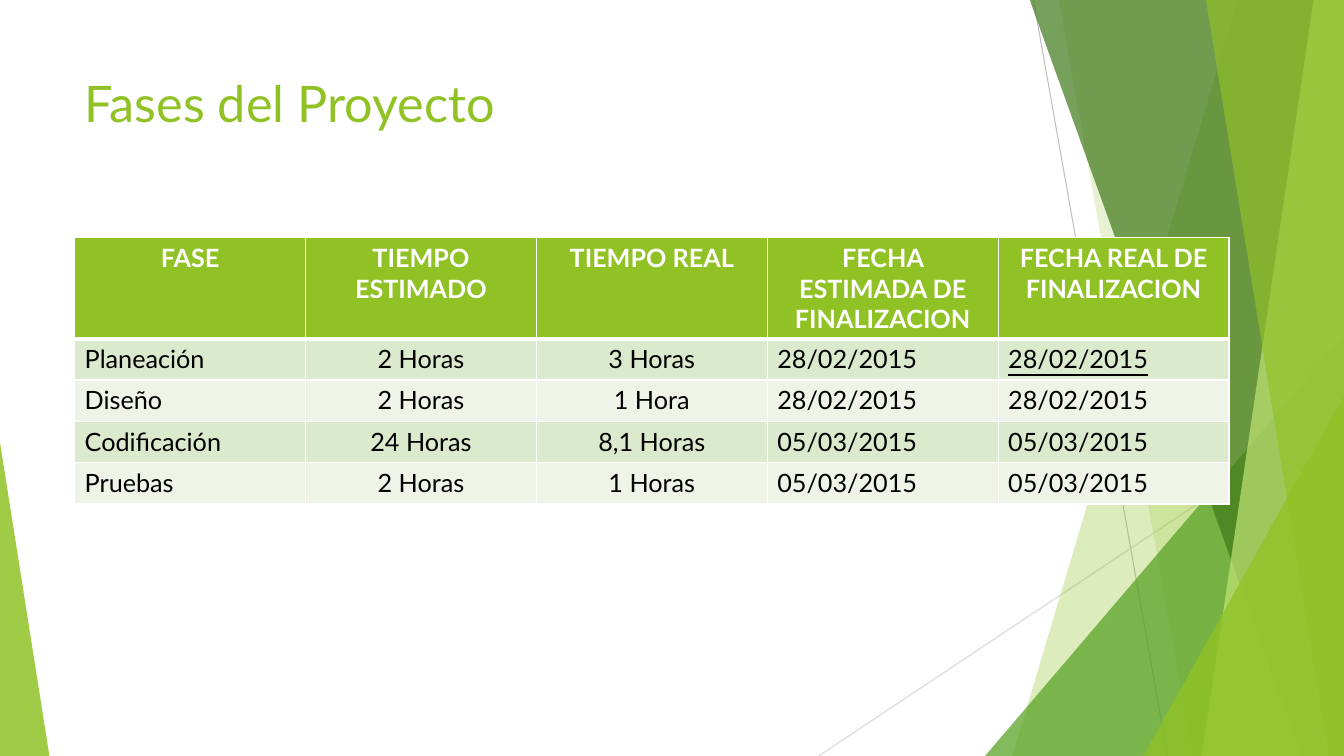
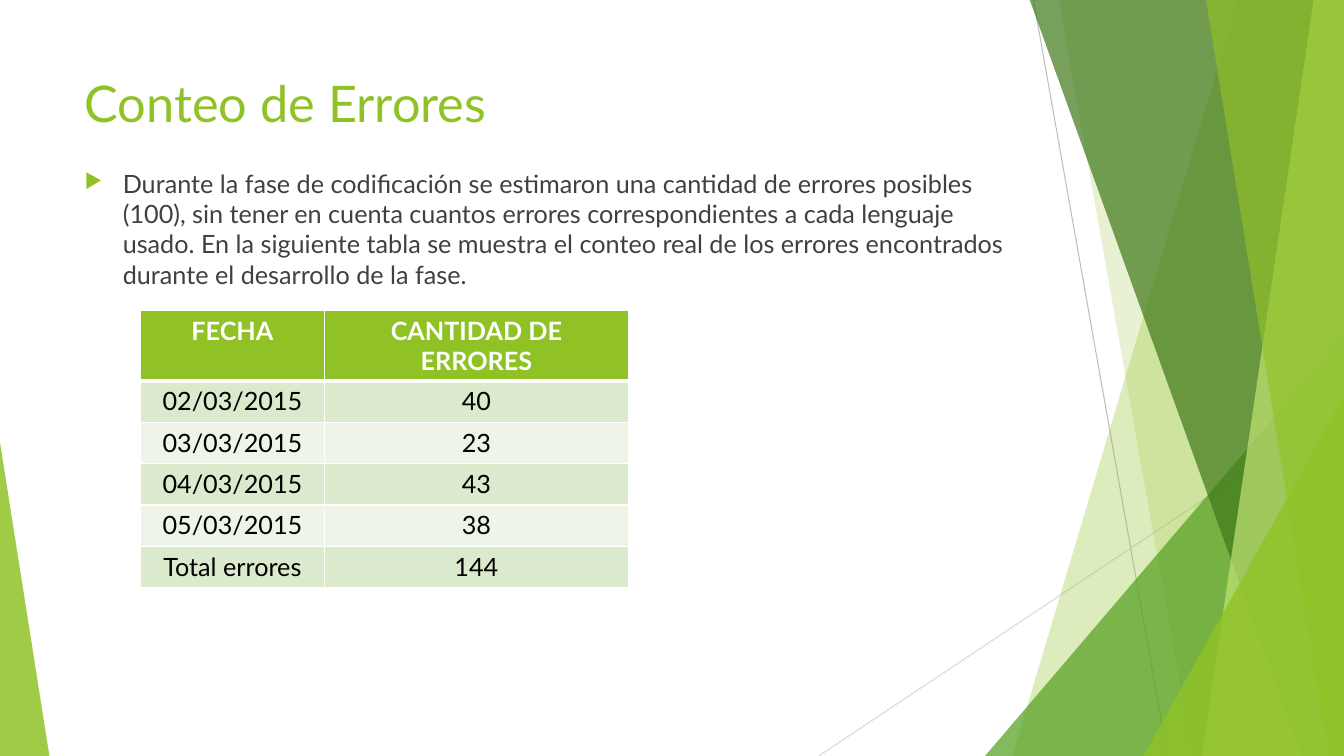
from pptx import Presentation
from pptx.dml.color import RGBColor
from pptx.enum.shapes import MSO_CONNECTOR, MSO_SHAPE
from pptx.enum.text import MSO_ANCHOR, PP_ALIGN
from pptx.oxml.ns import qn
from pptx.util import Inches, Pt
from lxml import etree

STRAIGHT = MSO_CONNECTOR.STRAIGHT
TRIANGLE = MSO_SHAPE.ISOSCELES_TRIANGLE
TOP = MSO_ANCHOR.TOP
ALIGN = {"l": PP_ALIGN.LEFT, "c": PP_ALIGN.CENTER}

FONT = "Lato"
GREEN, MID_GREEN, DARK_GREEN, LIME = "90C226", "54A021", "3F7819", "C0E474"
WHITE, BLACK, BODY = "FFFFFF", "000000", "404040"
ROW_FILLS = ("DBE9CD", "EEF4E8")

WIDTH, HEIGHT = 13.33, 7.5
LEFT, TEXT_WIDTH = 0.74, 9.4
BAND_TOP = -0.01
ROW_HEIGHT = 0.41


def rgb(color):
    """Turn a hex string into a colour."""
    return RGBColor.from_string(color)


def sub(parent, tag, **attrs):
    """Append a child element with the given attributes."""
    child = etree.SubElement(parent, qn(tag))
    for name, value in attrs.items():
        child.set(name, str(value))
    return child


def add_run(p, text, size, color, bold=False, underline=False):
    """Add one formatted run to a paragraph."""
    r = p.add_run()
    r.text = text
    font = r.font
    font.name, font.size, font.bold = FONT, Pt(size), bold
    font.color.rgb = rgb(color)
    if underline:
        font.underline = True


def paint(shape, color, opacity):
    """Give a shape a translucent fill, no line and no shadow."""
    shape.shadow.inherit = False
    shape.line.fill.background()
    shape.fill.solid()
    shape.fill.fore_color.rgb = rgb(color)
    solid = shape.element.spPr.find(qn("a:solidFill"))
    sub(solid[0], "a:alpha", val=opacity * 1000)


def add_thin_line(s, x1, y1, x2, y2, color):
    """Draw a thin straight line."""
    line = s.shapes.add_connector(
        STRAIGHT, Inches(x1), Inches(y1), Inches(x2), Inches(y2))
    line.line.color.rgb = rgb(color)
    line.line.width = Pt(0.75)
    sub(line.element.spPr, "a:effectLst")
    return line


def add_band(s, top_x, bottom_x, color, opacity):
    """Draw a full-height band from a slanted edge to the right side."""
    outline = s.shapes.build_freeform(Inches(top_x), Inches(BAND_TOP))
    outline.add_line_segments([
        (Inches(WIDTH), Inches(BAND_TOP)),
        (Inches(WIDTH), Inches(HEIGHT)),
        (Inches(bottom_x), Inches(HEIGHT)),
    ], close=True)
    band = outline.convert_to_shape()
    paint(band, color, opacity)
    return band


def add_corner(s, x, y, width, apex, color, opacity):
    """Draw a right triangle standing on the bottom edge."""
    corner = s.shapes.add_shape(
        TRIANGLE, Inches(x), Inches(y), Inches(width), Inches(HEIGHT - y))
    corner.adjustments[0] = apex
    paint(corner, color, opacity)
    return corner


def decorate_layout(layout, s):
    """Build the facets with a slide's tools and move them to its layout."""
    for ph in list(layout.placeholders)[1:]:
        ph.element.getparent().remove(ph.element)
    facets = [
        add_thin_line(s, 10.25, 0, 11.58, HEIGHT, "BFBFBF"),
        add_thin_line(s, WIDTH, 4.03, 8.12, HEIGHT, "D9D9D9"),
        add_band(s, 12.28, 10.04, GREEN, 30),
        add_band(s, 10.5, 11.83, GREEN, 20),
        add_corner(s, 9.77, 3.33, 3.56, 1, MID_GREEN, 72),
        add_band(s, 10.21, 12.91, DARK_GREEN, 70),
        add_band(s, 13.03, 11.92, LIME, 70),
        add_band(s, 11.96, 13.18, GREEN, 65),
        add_corner(s, 11.34, 3.93, 1.99, 1, GREEN, 80),
        add_corner(s, 0, 4.39, 0.49, 0, GREEN, 85),
    ]
    for facet in facets:
        layout.shapes.element.append(facet.element)


def set_title(s, text, height):
    """Place and format the title placeholder."""
    title = s.shapes.title
    title.left, title.top = Inches(LEFT), Inches(0.67)
    title.width, title.height = Inches(TEXT_WIDTH), Inches(height)
    tf = title.text_frame
    tf.word_wrap = True
    tf.vertical_anchor = TOP
    p = tf.paragraphs[0]
    p.alignment = ALIGN["l"]
    add_run(p, text, 36, GREEN)


def add_bullet_text(s, text, y, height):
    """Add a text box with one bulleted paragraph."""
    box = s.shapes.add_textbox(
        Inches(LEFT), Inches(y), Inches(TEXT_WIDTH), Inches(height))
    tf = box.text_frame
    tf.word_wrap = True
    p = tf.paragraphs[0]
    p.space_before = Pt(10)
    add_run(p, text, 18, BODY)
    pPr = p._p.get_or_add_pPr()
    indent = Inches(0.38)
    pPr.set("marL", str(indent))
    pPr.set("indent", str(-indent))
    sub(sub(pPr, "a:buClr"), "a:srgbClr", val=GREEN)
    sub(pPr, "a:buSzPct", val=80000)
    sub(pPr, "a:buChar", char="▶")


def set_borders(cell, top, bottom):
    """Draw white cell borders; top and bottom widths are in points."""
    tcPr = cell._tc.get_or_add_tcPr()
    for side, width in (("L", 1), ("R", 1), ("T", top), ("B", bottom)):
        ln = sub(tcPr, f"a:ln{side}", w=Pt(width))
        sub(sub(ln, "a:solidFill"), "a:srgbClr", val=WHITE)


def add_data_table(s, x, y, widths, aligns, rows, underlined=None):
    """Add a table with a green header and alternating row fills."""
    frame = s.shapes.add_table(
        len(rows), len(widths), Inches(x), Inches(y),
        Inches(sum(widths)), Inches(ROW_HEIGHT * len(rows)))
    table = frame.table
    for column, width in zip(table.columns, widths):
        column.width = Inches(width)
    for i, row in enumerate(rows):
        table.rows[i].height = Inches(ROW_HEIGHT)
        header = i == 0
        for j, text in enumerate(row):
            cell = table.cell(i, j)
            set_borders(cell, 3 if i == 1 else 1, 3 if header else 1)
            cell.fill.solid()
            cell.fill.fore_color.rgb = rgb(
                GREEN if header else ROW_FILLS[(i - 1) % 2])
            p = cell.text_frame.paragraphs[0]
            p.alignment = ALIGN["c" if header else aligns[j]]
            add_run(p, text, 18, WHITE if header else BLACK,
                    bold=header, underline=(i, j) == underlined)


def build_phases(s):
    """Fill the slide on project phases."""
    set_title(s, "Fases del Proyecto", 1.44)
    rows = [
        ("FASE", "TIEMPO ESTIMADO", "TIEMPO REAL",
         "FECHA ESTIMADA DE FINALIZACION", "FECHA REAL DE FINALIZACION"),
        ("Planeación", "2 Horas", "3 Horas", "28/02/2015", "28/02/2015"),
        ("Diseño", "2 Horas", "1 Hora", "28/02/2015", "28/02/2015"),
        ("Codificación", "24 Horas", "8,1 Horas", "05/03/2015", "05/03/2015"),
        ("Pruebas", "2 Horas", "1 Horas", "05/03/2015", "05/03/2015"),
    ]
    add_data_table(s, LEFT, 2.36, [2.29] * 5, "lccll", rows, underlined=(1, 4))


def build_errors(s):
    """Fill the slide on the error count."""
    set_title(s, "Conteo de Errores", 0.73)
    add_bullet_text(
        s,
        "Durante la fase de codificación se estimaron una cantidad de errores "
        "posibles (100), sin tener en cuenta cuantos errores correspondientes "
        "a cada lenguaje usado. En la siguiente tabla se muestra el conteo "
        "real de los errores encontrados durante el desarrollo de la fase.",
        1.62, 4.99)
    rows = [
        ("FECHA", "CANTIDAD DE ERRORES"),
        ("02/03/2015", "40"),
        ("03/03/2015", "23"),
        ("04/03/2015", "43"),
        ("05/03/2015", "38"),
        ("Total errores", "144"),
    ]
    add_data_table(s, 1.39, 3.08, [1.83, 3.01], "cc", rows)


def main():
    """Build and save the presentation."""
    prs = Presentation()
    prs.slide_width, prs.slide_height = Inches(WIDTH), Inches(HEIGHT)
    layout = prs.slide_layouts[5]
    phases = prs.slides.add_slide(layout)
    decorate_layout(layout, phases)
    build_phases(phases)
    build_errors(prs.slides.add_slide(layout))
    prs.save("out.pptx")


main()
